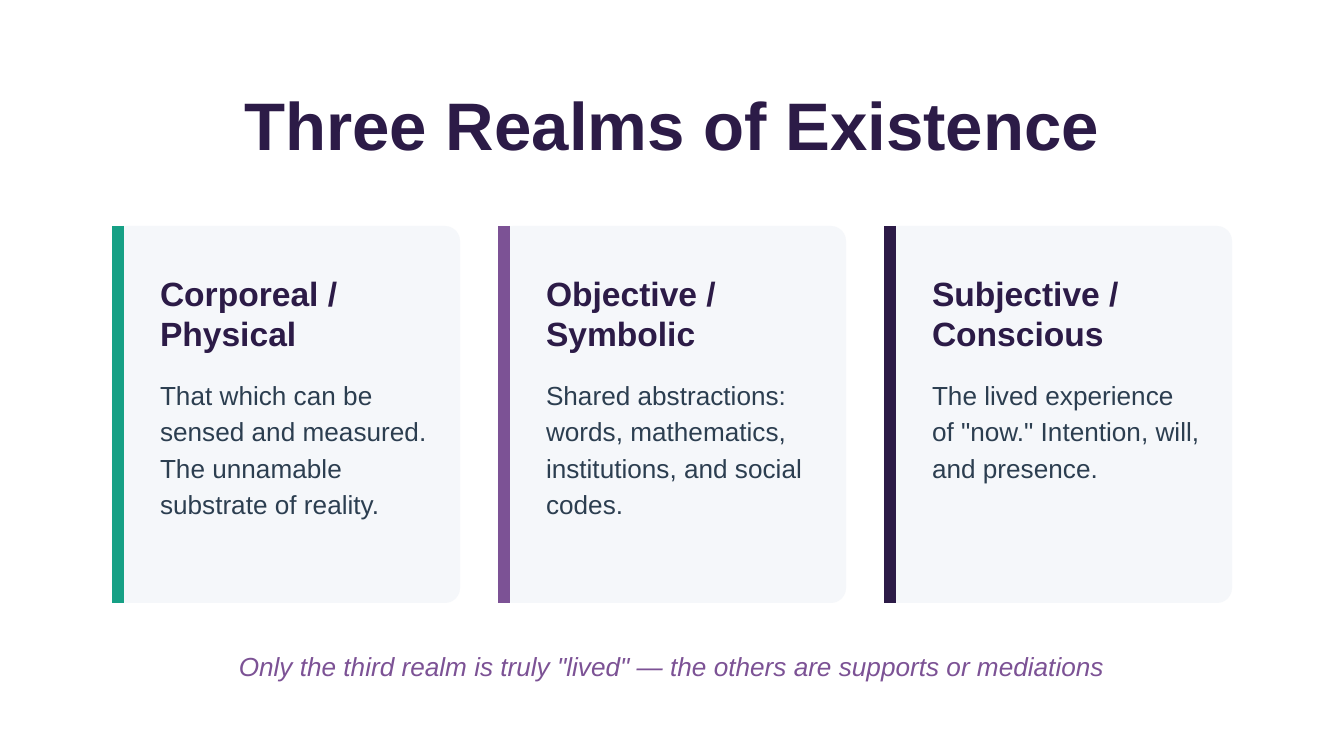
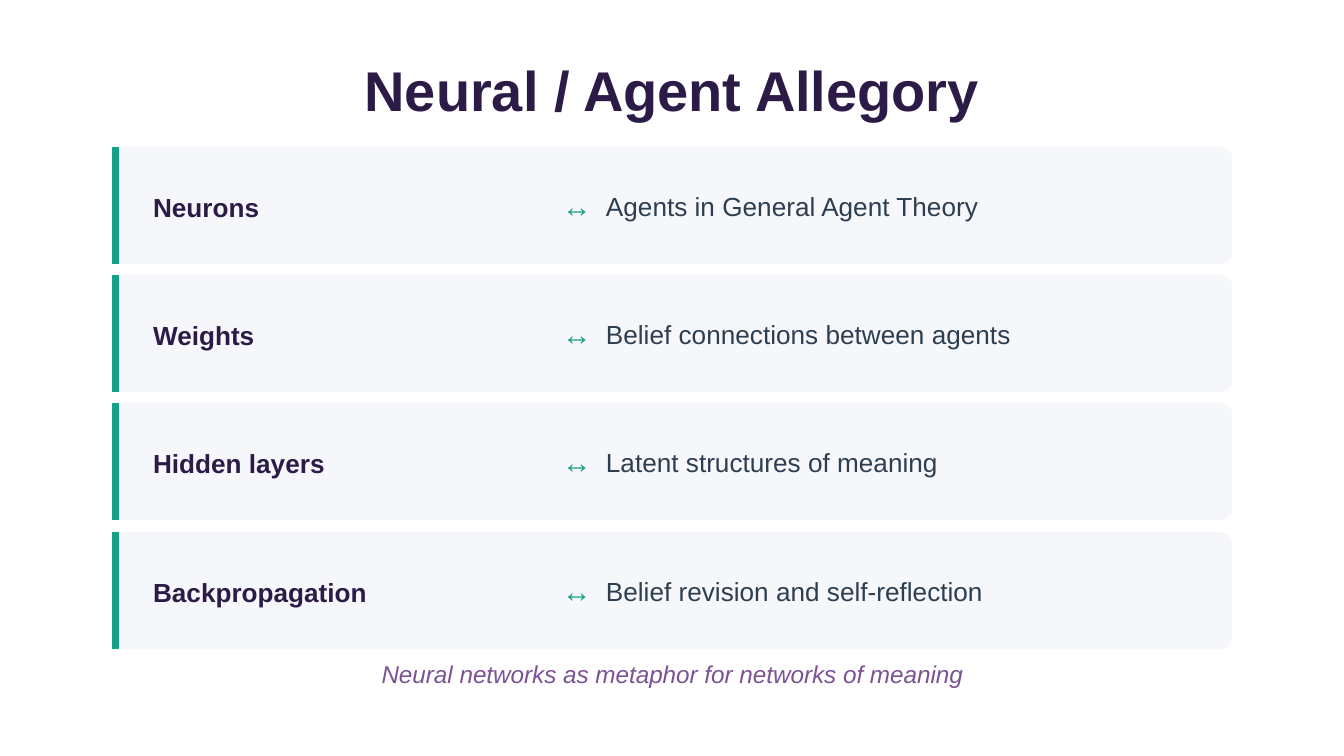
from lxml import etree
from pptx import Presentation
from pptx import util as u
from pptx.dml import color
from pptx.enum import shapes, text
from pptx.oxml import ns

SCALE = 9144000 / 1344
FONT = "Arial"
COLORS = {
    "plum": "2C1B47",
    "purple": "7C5295",
    "teal": "16A085",
    "slate": "2C3E50",
    "panel": "F5F7FA",
}
LEFT = 112
REALMS = [
    ("Corporeal / Physical", "teal", 183,
     "That which can be sensed and measured. The unnamable substrate of reality."),
    ("Objective / Symbolic", "purple", 146,
     "Shared abstractions: words, mathematics, institutions, and social codes."),
    ("Subjective / Conscious", "plum", 110,
     'The lived experience of "now." Intention, will, and presence.'),
]
ALLEGORY = [
    ("Neurons", "Agents in General Agent Theory"),
    ("Weights", "Belief connections between agents"),
    ("Hidden layers", "Latent structures of meaning"),
    ("Backpropagation", "Belief revision and self-reflection"),
]


def px(value):
    return u.Emu(round(value * SCALE))


def rgb(name):
    return color.RGBColor.from_string(COLORS[name])


def write(box, words, size, ink, bold=False, italic=False, centered=False, leading=None):
    frame = box.text_frame
    frame.word_wrap = True
    frame.auto_size = text.MSO_AUTO_SIZE.NONE
    frame.vertical_anchor = text.MSO_ANCHOR.TOP
    frame.margin_left = frame.margin_top = frame.margin_right = frame.margin_bottom = 0
    para = frame.paragraphs[0]
    para.alignment = text.PP_ALIGN.CENTER if centered else text.PP_ALIGN.LEFT
    if leading:
        para.line_spacing = u.Pt(leading)
    span = para.add_run()
    span.text = words
    span.font.name = FONT
    span.font.size = u.Pt(size)
    span.font.bold = bold
    span.font.italic = italic
    span.font.color.rgb = rgb(ink)


def add_text(page, left, top, width, height, words, size, ink, **style):
    box = page.shapes.add_textbox(px(left), px(top), px(width), px(height))
    write(box, words, size, ink, **style)


def add_page(deck, title, top, height, size):
    page = deck.slides.add_slide(deck.slide_layouts[5])
    box = page.shapes.title
    box.left, box.top, box.width, box.height = px(101), px(top), px(1142), px(height)
    write(box, title, size, "plum", bold=True, centered=True)
    return page


def add_caption(page, top, height, words, size):
    add_text(page, 101, top, 1142, height, words, size, "purple", italic=True, centered=True)


def add_panel(page, left, top, width, height, rounding, accent, inset, weight):
    panel = page.shapes.add_shape(
        shapes.MSO_SHAPE.ROUNDED_RECTANGLE, px(left), px(top), px(width), px(height))
    panel.shadow.inherit = False
    panel.adjustments[0] = rounding
    panel.fill.solid()
    panel.fill.fore_color.rgb = rgb("panel")
    panel.line.fill.background()
    edge = page.shapes.add_connector(
        shapes.MSO_CONNECTOR.STRAIGHT,
        px(left + inset), px(top), px(left + inset), px(top + height))
    edge.line.color.rgb = rgb(accent)
    edge.line.width = u.Pt(weight)
    etree.SubElement(edge._element.spPr, ns.qn("a:effectLst"))


def add_realm(page, left, name, accent, height, description):
    add_panel(page, left, 226, 348, 377, 0.043, accent, 6, 6)
    add_text(page, left + 48, 273, 268, 78, name, 18, "plum", bold=True)
    add_text(page, left + 48, 374, 268, height, description, 14, "slate", leading=19.6)


def add_pair(page, top, term, meaning):
    add_panel(page, LEFT, top, 1120, 117, 0.096, "teal", 4, 3.75)
    add_text(page, 153, top + 44, 402, 31, term, 14, "plum", bold=True)
    add_text(page, 562, top + 41, 31, 35, "↔", 16, "teal")
    add_text(page, 606, top + 43, 603, 31, meaning, 14, "slate", leading=16.8)


def main():
    deck = Presentation()
    deck.slide_width, deck.slide_height = px(1344), px(756)

    page = add_page(deck, "Three Realms of Existence", 83, 77, 36)
    for column, realm in enumerate(REALMS):
        add_realm(page, LEFT + column * 386, *realm)
    add_caption(page, 650, 31,
                'Only the third realm is truly "lived" — the others are supports or mediations', 14)

    page = add_page(deck, "Neural / Agent Allegory", 56, 63, 30)
    for row, pair in enumerate(ALLEGORY):
        add_pair(page, 147 + row * 385 // 3, *pair)
    add_caption(page, 659, 30, "Neural networks as metaphor for networks of meaning", 13)

    deck.save("out.pptx")


if __name__ == "__main__":
    main()
